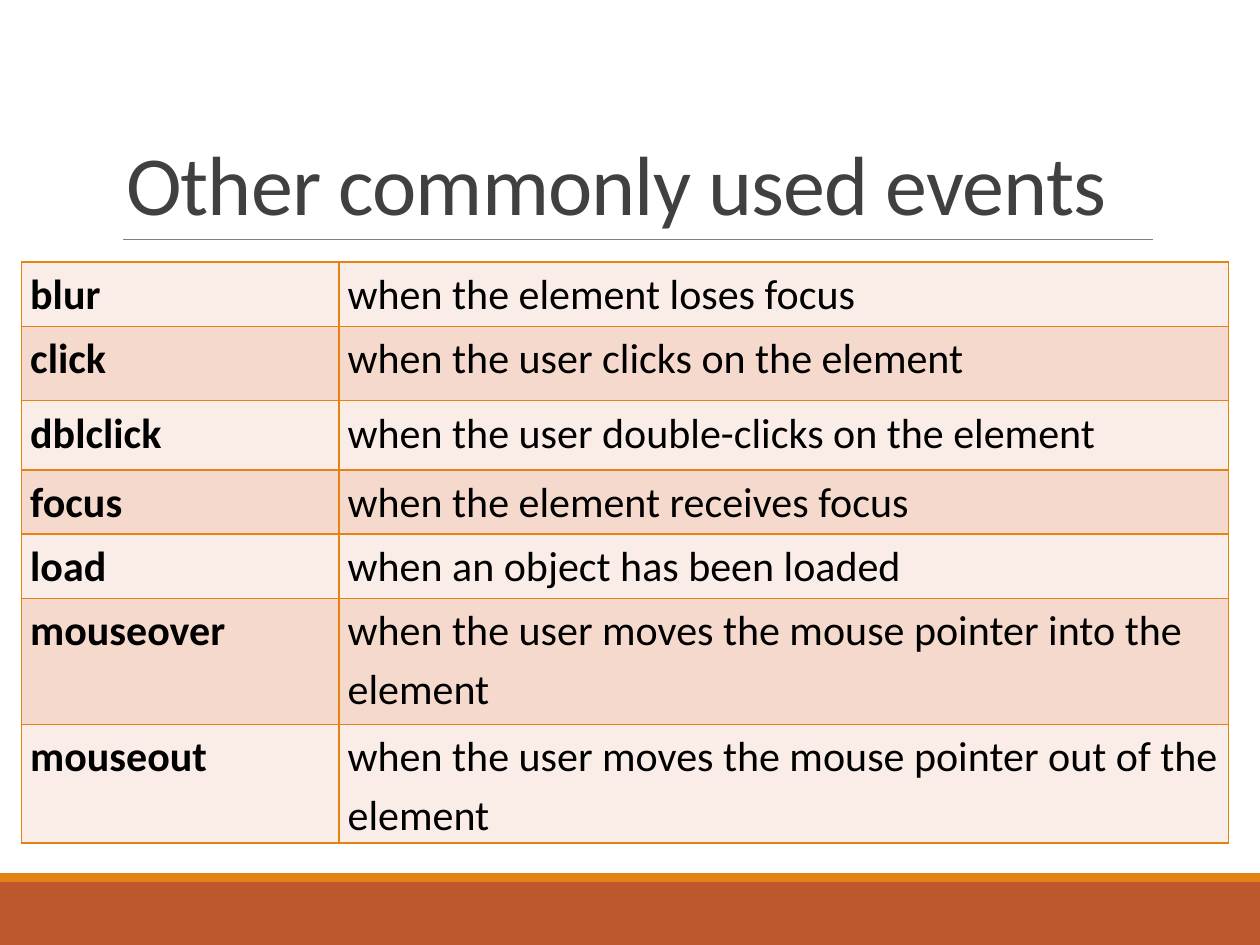
import pptx
import pptx.util
import pptx.dml.color
import pptx.enum.shapes
import pptx.enum.text
import pptx.oxml.ns
import lxml.etree

Inches = pptx.util.Inches
Pt = pptx.util.Pt

EVENTS = [
    ("blur", "when the element loses focus", 0.51),
    ("click", "when the user clicks on the element", 0.59),
    ("dblclick", "when the user double-clicks on the element", 0.55),
    ("focus", "when the element receives focus", 0.51),
    ("load", "when an object has been loaded", 0.51),
    ("mouseover", "when the user moves the mouse pointer into the element", 1),
    ("mouseout", "when the user moves the mouse pointer out of the element", 0.94),
]
BANDS = ["FAEDE7", "F5D9CC"]
ORANGE = "E48312"


def tint(form, color):
    """Give a fill or line format a solid colour from a hex string."""
    if hasattr(form, "solid"):
        form.solid()
        form.fore_color.rgb = pptx.dml.color.RGBColor.from_string(color)
    else:
        form.fill.solid()
        form.color.rgb = pptx.dml.color.RGBColor.from_string(color)


def write(para, text, size, color, bold=False):
    """Add one run to a paragraph and return it."""
    run = para.add_run()
    run.text = text
    run.font.name = "Calibri"
    run.font.size = Pt(size)
    run.font.bold = bold
    tint(run.font.fill, color)
    return run


def edge(cell, color, width):
    """Draw the four borders of a table cell."""
    props = cell._tc.get_or_add_tcPr()
    for side in ("lnL", "lnR", "lnT", "lnB"):
        line = lxml.etree.SubElement(props, pptx.oxml.ns.qn("a:" + side), w=str(Pt(width)))
        fill = lxml.etree.SubElement(line, pptx.oxml.ns.qn("a:solidFill"))
        lxml.etree.SubElement(fill, pptx.oxml.ns.qn("a:srgbClr"), val=color)


def add_band(slide, left, top, width, height, color):
    """Add a plain filled bar."""
    bar = slide.shapes.add_shape(
        pptx.enum.shapes.MSO_SHAPE.RECTANGLE,
        Inches(left), Inches(top), Inches(width), Inches(height))
    bar.shadow.inherit = False
    tint(bar.fill, color)
    bar.line.fill.background()


def add_foot(slide, left, top, width, height):
    """Add the footer bar with its thin stripe on top."""
    stripe = 0.07
    add_band(slide, left, top + stripe, width, height - stripe, "BD582C")
    add_band(slide, left, top, width, stripe, ORANGE)


def add_title(slide, left, top, width, height):
    """Set the title and the rule below it."""
    title = slide.shapes.title
    title.left, title.top = Inches(left), Inches(top)
    title.width, title.height = Inches(width), Inches(height)
    frame = title.text_frame
    frame.word_wrap = True
    frame.auto_size = pptx.enum.text.MSO_AUTO_SIZE.NONE
    frame.vertical_anchor = pptx.enum.text.MSO_ANCHOR.BOTTOM
    para = frame.paragraphs[0]
    para.alignment = pptx.enum.text.PP_ALIGN.LEFT
    para.line_spacing = 0.85
    run = write(para, "Other commonly used events", 48, "404040")
    run.font._element.set("spc", "-50")

    base = Inches(top + height)
    rule = slide.shapes.add_connector(
        pptx.enum.shapes.MSO_CONNECTOR.STRAIGHT,
        Inches(left + 0.08), base, Inches(left + width), base)
    tint(rule.line, "808080")
    rule.line.width = Pt(0.5)
    lxml.etree.SubElement(rule._element.spPr, pptx.oxml.ns.qn("a:effectLst"))


def add_events(slide, left, top, width, height):
    """Add the table of events, a name and a meaning in each row."""
    table = slide.shapes.add_table(
        len(EVENTS), 2, Inches(left), Inches(top), Inches(width), Inches(height)).table
    table.first_row = False
    name = 2.52
    table.columns[0].width = Inches(name)
    table.columns[1].width = Inches(width - name)
    for row, (event, sense, tall) in enumerate(EVENTS):
        table.rows[row].height = Inches(tall)
        for col, text in enumerate((event, sense)):
            cell = table.cell(row, col)
            cell.margin_left = cell.margin_right = Inches(0.07)
            cell.margin_top = cell.margin_bottom = 0
            edge(cell, ORANGE, 1)
            tint(cell.fill, BANDS[row % 2])
            para = cell.text_frame.paragraphs[0]
            para.line_spacing = 1.15
            write(para, text, 24, "000000", bold=col == 0)


def main():
    """Build the slide and save it."""
    deck = pptx.Presentation()
    deck.slide_width, deck.slide_height = Inches(10), Inches(7.5)
    slide = deck.slides.add_slide(deck.slide_layouts[5])
    add_foot(slide, 0, 6.93, 10, 0.57)
    add_title(slide, 0.9, 0.31, 8.25, 1.59)
    add_events(slide, 0.17, 2.08, 9.58, 4.61)
    deck.save("out.pptx")


if __name__ == "__main__":
    main()
